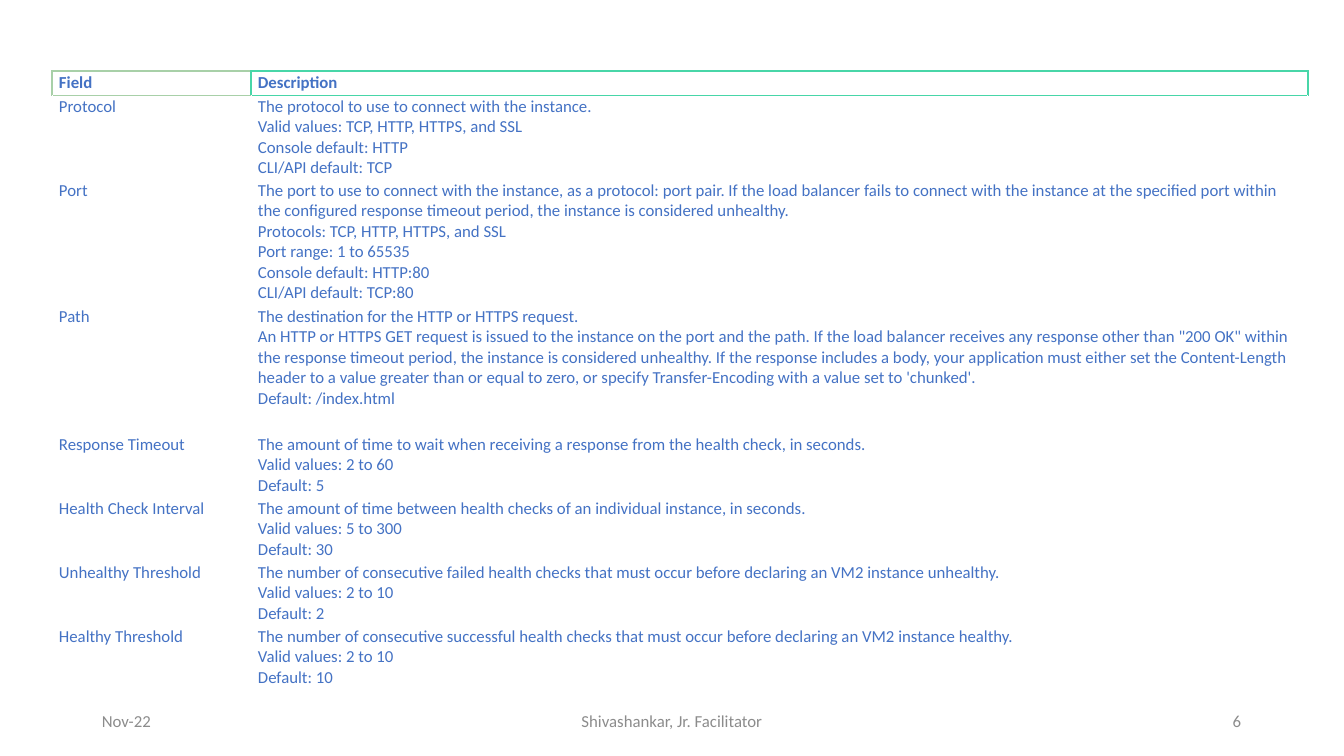
from lxml import etree
from pptx import Presentation
from pptx import util as u
from pptx.dml.color import RGBColor
from pptx.enum import text
from pptx.oxml.ns import qn

THEME = dict(font="Calibri", size=12, ink="4472C4", footer="8C8C8C",
             paper="FFFFFF", sage="A8D0A8", mint="48D6A8")
PX = 914400 / 100.8


def px(n):
    return u.Emu(round(n * PX))


def style(p, color, bold=False):
    p.font.name, p.font.size = THEME["font"], u.Pt(THEME["size"])
    p.font.color.rgb = RGBColor.from_string(THEME[color])
    p.font.bold = bold


FIELDS = [
    ("Field", 24, ["Description"]),
    ("Protocol", 84, [
        "The protocol to use to connect with the instance.",
        "Valid values: TCP, HTTP, HTTPS, and SSL",
        "Console default: HTTP",
        "CLI/API default: TCP"]),
    ("Port", 126, [
        "The port to use to connect with the instance, as a protocol: port pair. "
        "If the load balancer fails to connect with the instance at the specified port "
        "within the configured response timeout period, the instance is considered unhealthy.",
        "Protocols: TCP, HTTP, HTTPS, and SSL",
        "Port range: 1 to 65535",
        "Console default: HTTP:80",
        "CLI/API default: TCP:80"]),
    ("Path", 128, [
        "The destination for the HTTP or HTTPS request.",
        "An HTTP or HTTPS GET request is issued to the instance on the port and the path. "
        "If the load balancer receives any response other than \"200 OK\" within the response "
        "timeout period, the instance is considered unhealthy. If the response includes a body, "
        "your application must either set the Content-Length header to a value greater than or "
        "equal to zero, or specify Transfer-Encoding with a value set to 'chunked'.",
        "Default: /index.html"]),
    ("Response Timeout", 64, [
        "The amount of time to wait when receiving a response from the health check, in seconds.",
        "Valid values: 2 to 60",
        "Default: 5"]),
    ("Health Check Interval", 64, [
        "The amount of time between health checks of an individual instance, in seconds.",
        "Valid values: 5 to 300",
        "Default: 30"]),
    ("Unhealthy Threshold", 64, [
        "The number of consecutive failed health checks that must occur before declaring "
        "an VM2 instance unhealthy.",
        "Valid values: 2 to 10",
        "Default: 2"]),
    ("Healthy Threshold", 64, [
        "The number of consecutive successful health checks that must occur before declaring "
        "an VM2 instance healthy.",
        "Valid values: 2 to 10",
        "Default: 10"]),
]
COLUMNS = [199, 1057]
# Border colours of each header cell: left, right, top, bottom
HEADER_EDGES = [("sage", "mint", "sage", "sage"), ("mint",) * 4]

prs = Presentation()
prs.slide_width, prs.slide_height = px(1344), px(756)
s = prs.slides.add_slide(prs.slide_layouts[6])

heights = [height for _, height, _ in FIELDS]
table = s.shapes.add_table(len(FIELDS), len(COLUMNS), px(52), px(71),
                           px(sum(COLUMNS)), px(sum(heights))).table
table.first_row = table.horz_banding = False
for column, width in zip(table.columns, COLUMNS):
    column.width = px(width)

for i, (field, height, description) in enumerate(FIELDS):
    table.rows[i].height = px(height)
    for j, lines in enumerate([[field], description]):
        cell = table.cell(i, j)
        cell.margin_left = cell.margin_right = px(7)
        cell.margin_top = cell.margin_bottom = px(2 if i == 0 else 1)

        edges = ["paper"] * 4
        if i == 0:
            edges = HEADER_EDGES[j]
        elif i == 1:
            edges[2] = HEADER_EDGES[j][3]
        tcPr = cell._tc.get_or_add_tcPr()
        for side, color in zip("LRTB", edges):
            weight = u.Pt(1 if i == 0 and side != "B" else 0.75)
            ln = etree.SubElement(tcPr, qn(f"a:ln{side}"), w=str(weight))
            fill = etree.SubElement(ln, qn("a:solidFill"))
            etree.SubElement(fill, qn("a:srgbClr"), val=THEME[color])
        cell.fill.solid()
        cell.fill.fore_color.rgb = RGBColor.from_string(THEME["paper"])

        cell.text_frame.text = "\n".join(lines)
        for p in cell.text_frame.paragraphs:
            style(p, "ink", bold=i == 0)

for label, left, width, align in [
    ("Nov-22", 92, 302, text.PP_ALIGN.LEFT),
    ("Shivashankar, Jr. Facilitator", 445, 454, text.PP_ALIGN.CENTER),
    ("6", 949, 302, text.PP_ALIGN.RIGHT),
]:
    tf = s.shapes.add_textbox(px(left), px(701), px(width), px(40)).text_frame
    tf.word_wrap = True
    tf.vertical_anchor = text.MSO_ANCHOR.MIDDLE
    p = tf.paragraphs[0]
    p.text, p.alignment = label, align
    style(p, "footer")

prs.save("out.pptx")
